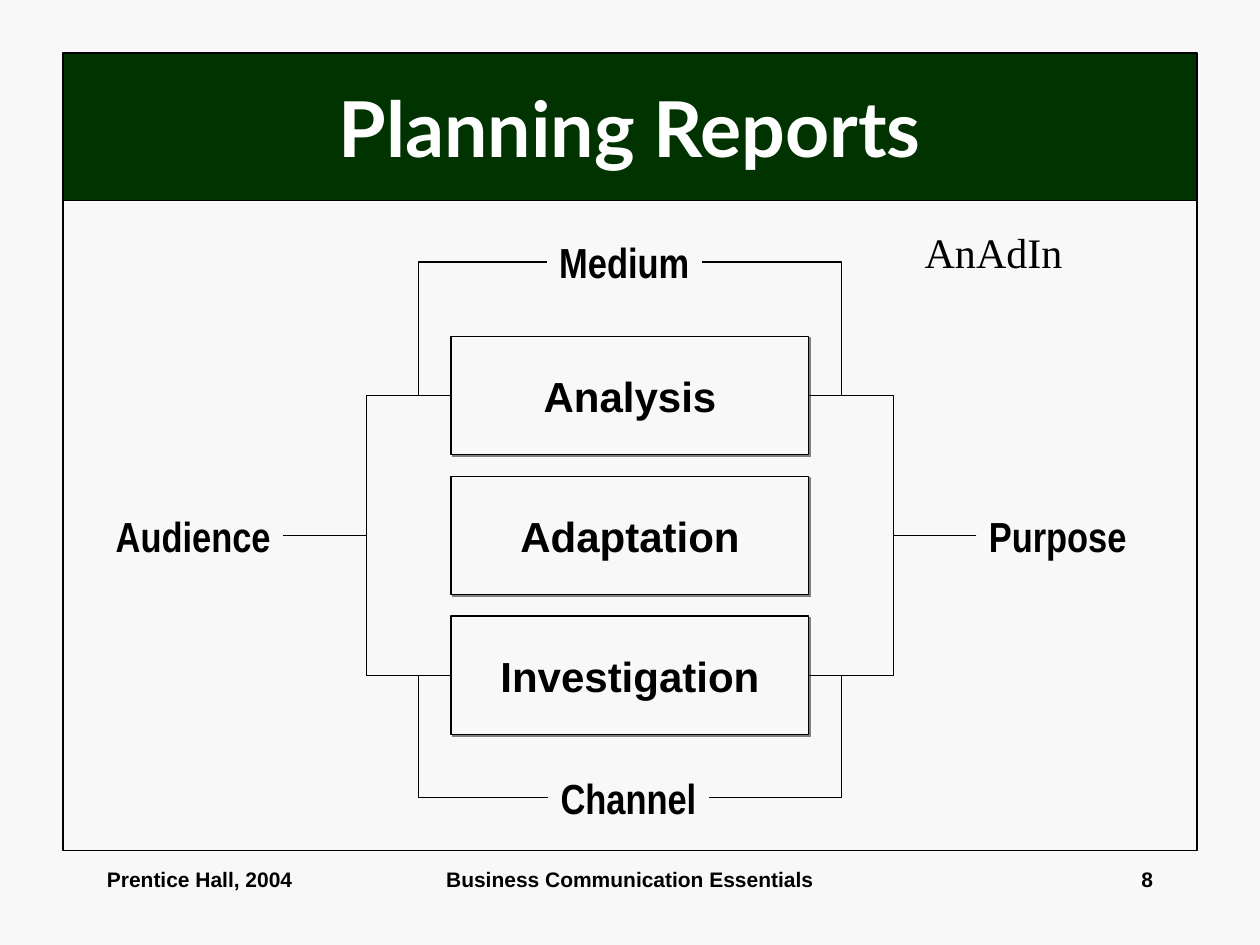
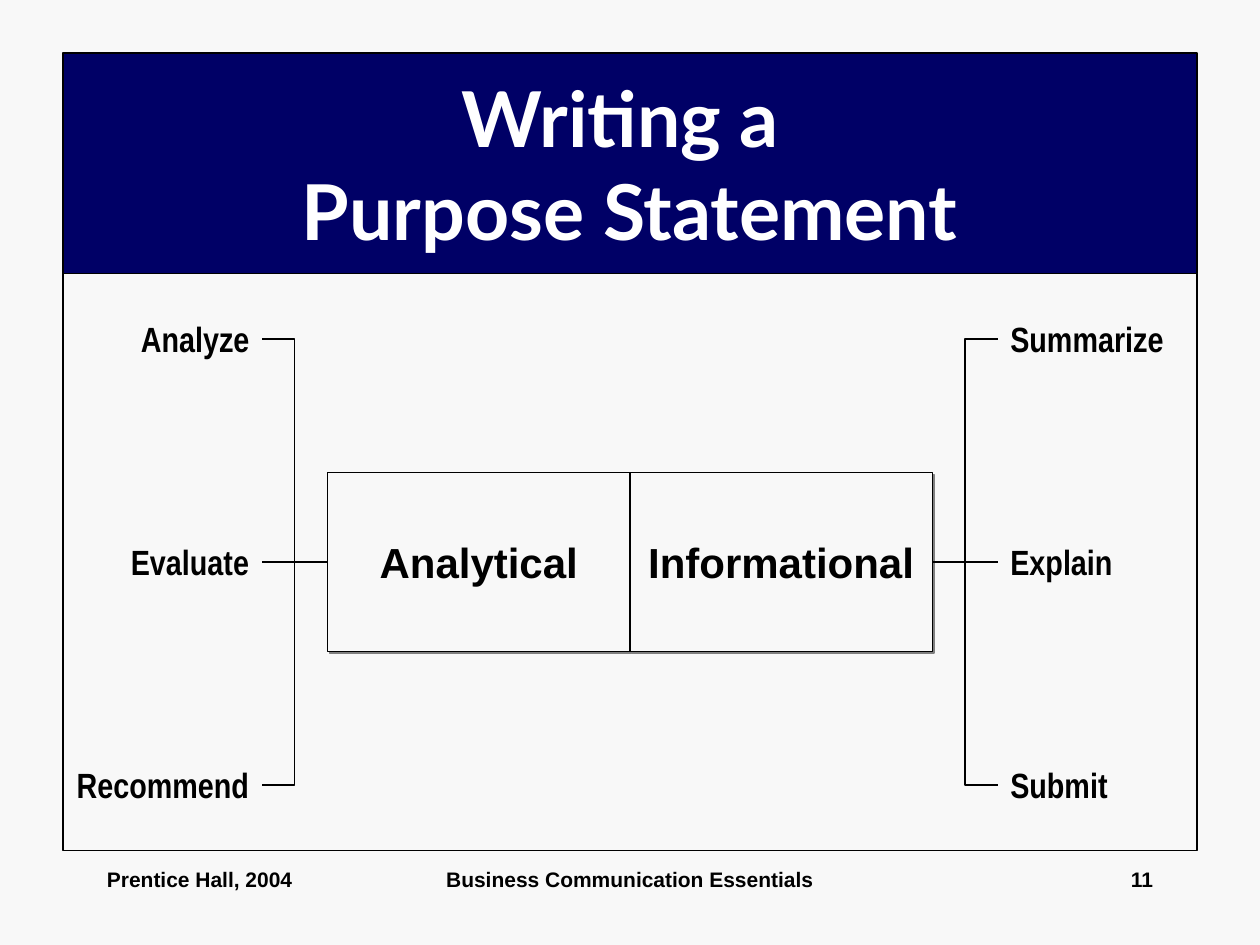
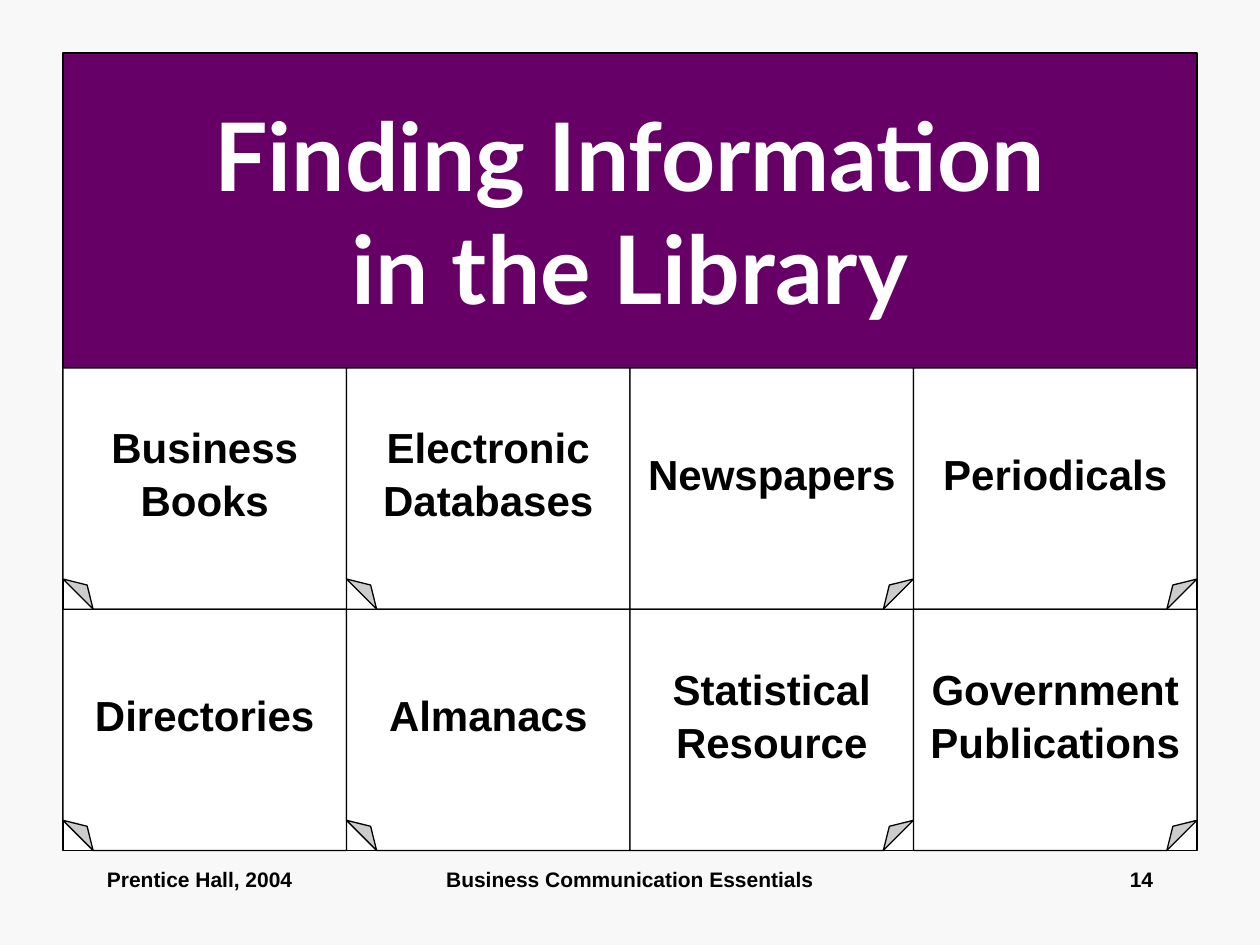
from lxml.etree import SubElement
from pptx import Presentation
from pptx.dml.color import RGBColor
from pptx.enum.shapes import MSO_CONNECTOR as Line, MSO_SHAPE as Preset
from pptx.enum.text import MSO_ANCHOR as Anchor, MSO_AUTO_SIZE as AutoSize, PP_ALIGN as Align
from pptx.oxml.ns import qn
from pptx.util import Inches, Pt

# Shared style
PAPER = RGBColor(0xF8, 0xF8, 0xF8)
WHITE = RGBColor(0xFF, 0xFF, 0xFF)
BLACK = RGBColor(0, 0, 0)
GREEN = RGBColor(0, 0x33, 0)
NAVY = RGBColor(0, 0, 0x66)
PURPLE = RGBColor(0x66, 0, 0x66)
SHADOW = "808080"
TITLE_FONT, BODY_FONT, LABEL_FONT, NOTE_FONT = "Lato", "Arial", "Arial Narrow", "Times New Roman"
LEFT, TOP, WIDTH, BOTTOM = 0.5, 0.42, 9, 6.75
CENTRE = LEFT + WIDTH / 2
FOOTER_TOP, FOOTER_HEIGHT = 6.83, 0.5

# Content
FOOTERS = [  # text, left, width, alignment
    ("Prentice Hall, 2004", 0.75, 2.08, Align.LEFT),
    ("Business Communication Essentials", 3.42, 3.16, Align.CENTER),
]
PLANNING_STEPS = ["Analysis", "Adaptation", "Investigation"]
PLANNING_LABELS = {  # left, top, width
    "Medium": (4.34, 1.83, 1.23),
    "Channel": (4.35, 6.08, 1.28),
    "Audience": (0.82, 4, 1.43),
    "Purpose": (7.75, 4, 1.29),
}
PURPOSES = [  # kind, its verbs with label widths
    ("Analytical", [("Analyze", 1.06), ("Evaluate", 1.14), ("Recommend", 1.57)]),
    ("Informational", [("Summarize", 1.42), ("Explain", 1.01), ("Submit", 0.97)]),
]
LIBRARY_SOURCES = [
    ["Business\nBooks", "Electronic\nDatabases", "Newspapers", "Periodicals"],
    ["Directories", "Almanacs", "Statistical\nResource", "Government\nPublications"],
]


def write(shape, text, size, font=BODY_FONT, color=BLACK, align=Align.CENTER,
          anchor=Anchor.MIDDLE, bold=True, wrap=False):
    frame = shape.text_frame
    frame.text = text
    frame.word_wrap = wrap
    frame.vertical_anchor = anchor
    for number, para in enumerate(frame.paragraphs):
        para.alignment = align
        if number:
            para.space_before = Pt(1.5)
        for span in para.runs:
            span.font.name, span.font.size = font, Pt(size)
            span.font.bold, span.font.color.rgb = bold, color


def set_guide(geometry, name, share):
    guides = geometry.get_or_add_avLst()
    SubElement(guides, qn("a:gd"), name=name, fmla=f"val {round(share * 100000)}")


def add_box(page, left, top, width, height, fill=None, outlined=True, preset=Preset.RECTANGLE):
    box = page.shapes.add_shape(preset, *map(Inches, (left, top, width, height)))
    box.shadow.inherit = False
    if fill is None:
        box.fill.background()
    else:
        box.fill.solid()
        box.fill.fore_color.rgb = fill
    if outlined:
        box.line.color.rgb, box.line.width = BLACK, Pt(0.75)
    else:
        box.line.fill.background()
    return box


def add_text(page, left, top, width, height, text, size, **style):
    box = page.shapes.add_textbox(*map(Inches, (left, top, width, height)))
    write(box, text, size, anchor=Anchor.TOP, **style)


def add_card(page, left, top, width, height, text):
    card = add_box(page, left, top, width, height, PAPER)
    effects = card._element.spPr.find(qn("a:effectLst"))
    shadow = SubElement(effects, qn("a:outerShdw"), dist=str(Pt(1.4)), dir="2700000",
                        algn="ctr", rotWithShape="0")
    SubElement(shadow, qn("a:srgbClr"), val=SHADOW)
    write(card, text, 24)
    return card


def add_label(page, left, top, width, height, text, size):
    label = add_box(page, left, top, width, height, PAPER, outlined=False)
    write(label, text, size, LABEL_FONT, align=Align.LEFT, anchor=Anchor.TOP)
    label.text_frame.auto_size = AutoSize.SHAPE_TO_FIT_TEXT
    return label


def add_line(page, start, end, bend=None):
    """Straight line, or an elbow whose middle leg stands at x = bend."""
    kind = Line.STRAIGHT if bend is None else Line.ELBOW
    line = page.shapes.add_connector(kind, *map(Inches, (*start, *end)))
    line.line.color.rgb, line.line.width = BLACK, Pt(0.75)
    props = line._element.spPr
    SubElement(props, qn("a:effectLst"))
    if bend is not None:
        share = (bend - start[0]) / (end[0] - start[0])
        set_guide(props.find(qn("a:prstGeom")), "adj1", share)
    return line


def add_page(deck, title, number, color, title_height, size=44, frame_fill=None):
    page = deck.slides.add_slide(deck.slide_layouts[6])
    page.background.fill.solid()
    page.background.fill.fore_color.rgb = PAPER
    frame_top = TOP + title_height
    add_box(page, LEFT, frame_top, WIDTH, BOTTOM - frame_top, frame_fill)
    band = add_box(page, LEFT, TOP, WIDTH, title_height, color)
    write(band, title, size, TITLE_FONT, WHITE, wrap=True)
    for text, left, width, align in FOOTERS + [(str(number), 7.17, 2.08, Align.RIGHT)]:
        add_text(page, left, FOOTER_TOP, width, FOOTER_HEIGHT, text, 12, align=align, wrap=True)
    return page


def build_planning(deck):
    page = add_page(deck, "Planning Reports", 8, GREEN, 1.17)
    width, height, first_top, pitch = 2.84, 0.94, 2.67, 1.11
    left = CENTRE - width / 2
    right = left + width
    for row, step in enumerate(PLANNING_STEPS):
        add_card(page, left, first_top + row * pitch, width, height, step)
    for text, (label_left, top, label_width) in PLANNING_LABELS.items():
        add_label(page, label_left, top, label_width, 0.5, text, 24)

    # Labels joined to the first and last step, on both sides
    upper = first_top + height / 2
    middle, lower = upper + pitch, upper + 2 * pitch
    audience_left, _, audience_width = PLANNING_LABELS["Audience"]
    sides = [(left, -1, audience_left + audience_width), (right, 1, PLANNING_LABELS["Purpose"][0])]
    for edge, sign, outer in sides:
        for level in (upper, lower):
            add_line(page, (outer, middle), (edge, level), edge + sign * 0.67)
        for name, level in (("Medium", upper), ("Channel", lower)):
            label_left, top, label_width = PLANNING_LABELS[name]
            start = label_left if sign < 0 else label_left + label_width
            add_line(page, (start, top + 0.25), (edge, level), edge + sign * 0.26)
    add_text(page, 7.24, 1.75, 1.29, 0.5, "AnAdIn", 24, font=NOTE_FONT, bold=False,
             align=Align.LEFT)


def build_purpose(deck):
    page = add_page(deck, "Writing a \vPurpose Statement", 11, NAVY, 1.75)
    width, height, top, gap, pitch, label_height = 2.4, 1.42, 3.75, 0.52, 1.77, 0.44
    middle = top + height / 2
    for column, (kind, verbs) in enumerate(PURPOSES):
        card = add_card(page, CENTRE + (column - 1) * width, top, width, height, kind)
        sign = 1 if column else -1
        edge = CENTRE + sign * width
        outer = edge + sign * gap
        for row, (verb, verb_width) in enumerate(verbs):
            level = middle + (row - 1) * pitch
            label_left = outer if column else outer - verb_width
            label = add_label(page, label_left, level - label_height / 2, verb_width,
                              label_height, verb, 20)
            if row == 1:
                line = add_line(page, (edge, middle), (outer, level))
                line.begin_connect(card, 3 if column else 1)
                line.end_connect(label, 1 if column else 3)
            else:
                add_line(page, (edge, middle), (outer, level), edge + sign * gap / 2)


def build_library(deck):
    title_height = 2.5
    page = add_page(deck, "Finding Information\vin the Library", 14, PURPLE, title_height, 54, WHITE)
    grid_top = TOP + title_height
    width = WIDTH / len(LIBRARY_SOURCES[0])
    height = (BOTTOM - grid_top) / len(LIBRARY_SOURCES)
    for row, sources in enumerate(LIBRARY_SOURCES):
        for column, source in enumerate(sources):
            sheet = add_box(page, LEFT + column * width, grid_top + row * height, width, height,
                            WHITE, preset=Preset.FOLDED_CORNER)
            props = sheet._element.spPr
            geometry = props.find(qn("a:prstGeom"))
            geometry.set("prst", "foldedCorner")  # the library writes a misspelt preset name
            set_guide(geometry, "adj", 0.125)
            if column < len(sources) / 2:  # left half folds at the left
                props.find(qn("a:xfrm")).set("flipH", "1")
            write(sheet, source, 24)


def main():
    deck = Presentation()
    deck.slide_width, deck.slide_height = Inches(10), Inches(7.5)
    build_planning(deck)
    build_purpose(deck)
    build_library(deck)
    deck.save("out.pptx")


if __name__ == "__main__":
    main()
